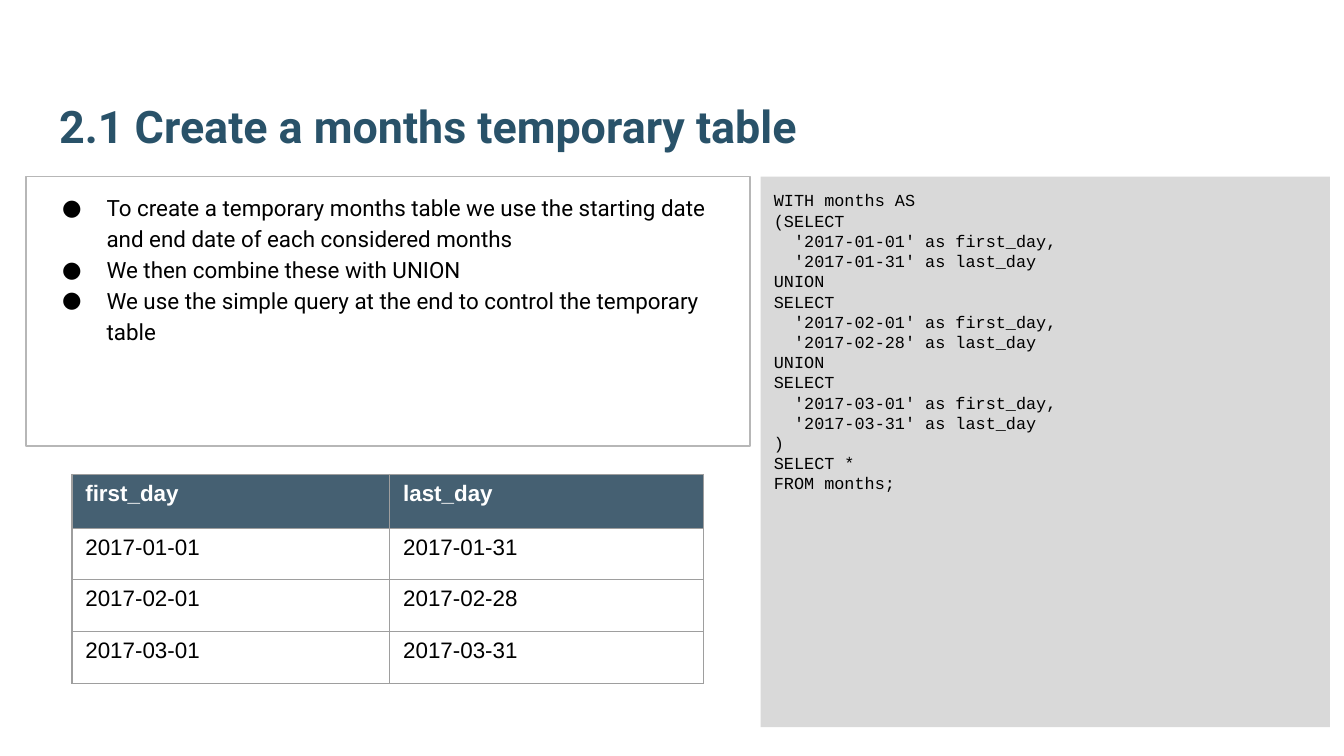
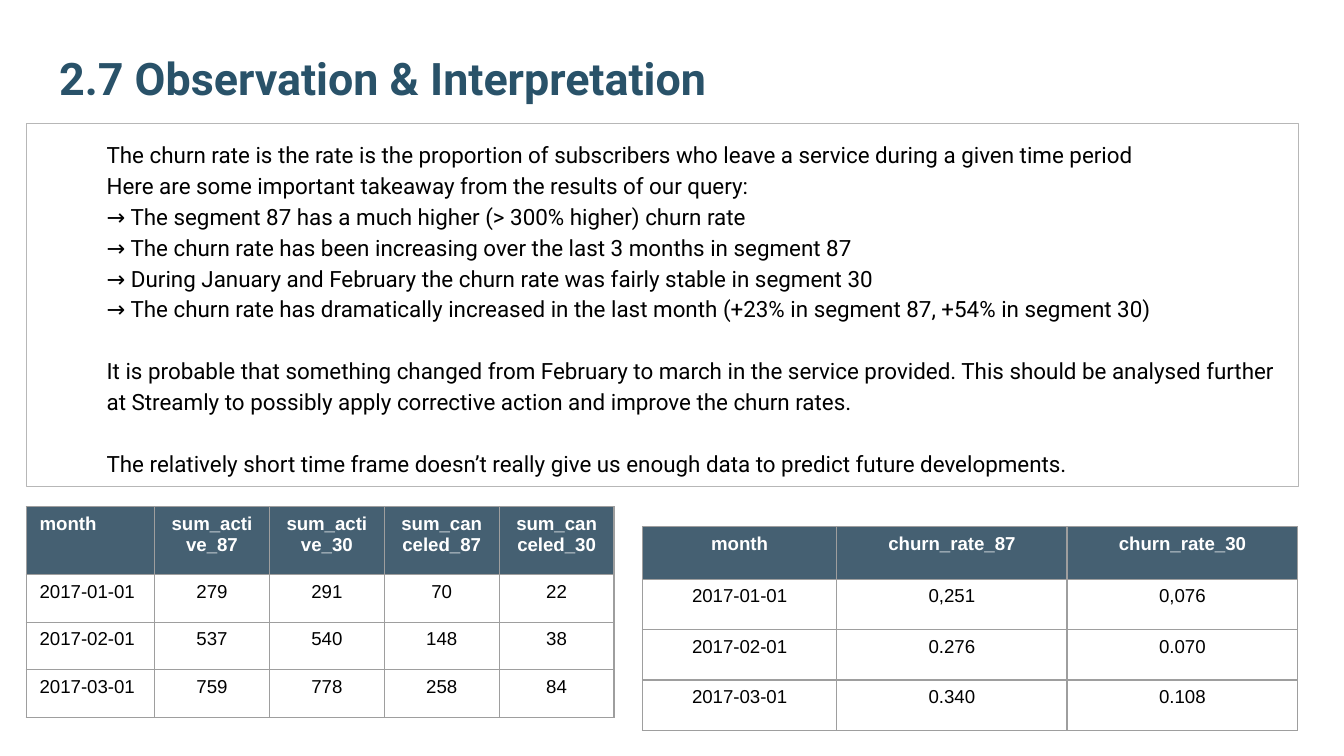
from dataclasses import dataclass
from typing import NamedTuple

from lxml import etree
from pptx import Presentation
from pptx import util as u
from pptx.dml.color import RGBColor
from pptx.enum import shapes, text
from pptx.oxml.ns import qn

EMU_PER_PX = 4572


def px(length: int) -> u.Emu:
    return u.Emu(length * EMU_PER_PX)


@dataclass(frozen=True)
class Theme:
    title_color: str = "295269"
    ink: str = "000000"
    header_ink: str = "FFFFFF"
    header_fill: str = "204056"
    header_alpha: int = 83
    code_fill: str = "D9D9D9"
    box_line: str = "B7B7B7"
    grid_line: str = "9E9E9E"
    body_font: str = "Roboto"
    code_font: str = "Courier New"
    table_font: str = "Arial"
    title_size: int = 24
    body_size: int = 12
    code_size: int = 9
    small_size: int = 10
    line_width: float = 0.75
    line_spacing: float = 1.15
    section_gap: float = 16.5


THEME = Theme()


class Box(NamedTuple):
    left: int
    top: int
    width: int
    height: int

    def emu(self) -> tuple:
        return tuple(px(side) for side in self)


@dataclass(frozen=True)
class Panel:
    box: Box
    lines: tuple
    fill: str | None = None
    font: str = THEME.body_font
    size: int = THEME.body_size
    spacing: float | None = THEME.line_spacing
    margin: int = 100
    bullet: str | None = None
    section_starts: tuple = ()


@dataclass(frozen=True)
class Grid:
    left: int
    top: int
    columns: tuple
    rows: tuple
    cells: tuple
    size: int
    alignments: str


def set_font(paragraph, name: str, size: int, color: str, bold: bool = False) -> None:
    paragraph.font.name = name
    paragraph.font.size = u.Pt(size)
    paragraph.font.bold = bold
    paragraph.font.color.rgb = RGBColor.from_string(color)


def set_insets(frame, inset: int = 20) -> None:
    frame.margin_left = frame.margin_right = px(inset)
    frame.margin_top = frame.margin_bottom = px(inset)
    frame.word_wrap = True
    frame.auto_size = text.MSO_AUTO_SIZE.NONE


def add_color(parent, color: str):
    return etree.SubElement(parent, qn("a:srgbClr"), val=color)


def set_bullet(paragraph, character: str, font: str) -> None:
    properties = paragraph._p.get_or_add_pPr()
    defaults = properties.find(qn("a:defRPr"))
    bullet_color = etree.Element(qn("a:buClr"))
    add_color(bullet_color, THEME.ink)
    defaults.addprevious(bullet_color)
    defaults.addprevious(etree.Element(qn("a:buFont"), typeface=font))
    defaults.addprevious(etree.Element(qn("a:buChar"), char=character))


def add_title_slide(presentation, title: str, box: Box):
    slide = presentation.slides.add_slide(presentation.slide_layouts[5])
    shape = slide.shapes.title
    shape.left, shape.top, shape.width, shape.height = box.emu()
    frame = shape.text_frame
    set_insets(frame)
    frame.vertical_anchor = text.MSO_ANCHOR.BOTTOM
    frame.text = title
    paragraph = frame.paragraphs[0]
    paragraph.alignment = text.PP_ALIGN.LEFT
    set_font(paragraph, THEME.body_font, THEME.title_size, THEME.title_color, True)
    return slide


def add_panel(slide, panel: Panel) -> None:
    shape = slide.shapes.add_shape(shapes.MSO_SHAPE.RECTANGLE, *panel.box.emu())
    shape.shadow.inherit = False
    if panel.fill:
        shape.fill.solid()
        shape.fill.fore_color.rgb = RGBColor.from_string(panel.fill)
        shape.line.fill.background()
    else:
        shape.fill.background()
        shape.line.color.rgb = RGBColor.from_string(THEME.box_line)
        shape.line.width = u.Pt(THEME.line_width)
    frame = shape.text_frame
    set_insets(frame)
    frame.vertical_anchor = text.MSO_ANCHOR.TOP
    frame.text = "\n".join(panel.lines)
    for index, paragraph in enumerate(frame.paragraphs):
        paragraph.alignment = text.PP_ALIGN.LEFT
        paragraph.line_spacing = panel.spacing
        if index in panel.section_starts:
            paragraph.space_before = u.Pt(THEME.section_gap)
        set_font(paragraph, panel.font, panel.size, THEME.ink)
        properties = paragraph._p.get_or_add_pPr()
        properties.set("marL", str(px(panel.margin)))
        properties.set("indent", str(px(-66 if panel.bullet else 0)))
        if panel.bullet:
            set_bullet(paragraph, panel.bullet, panel.font)


def set_borders(cell) -> None:
    properties = cell._tc.get_or_add_tcPr()
    for index, side in enumerate(("lnL", "lnR", "lnT", "lnB")):
        line = etree.Element(qn(f"a:{side}"), w=str(u.Pt(THEME.line_width)))
        add_color(etree.SubElement(line, qn("a:solidFill")), THEME.grid_line)
        properties.insert(index, line)


def fill_header(cell) -> None:
    cell.fill.solid()
    cell.fill.fore_color.rgb = RGBColor.from_string(THEME.header_fill)
    color = cell._tc.tcPr.find(".//" + qn("a:srgbClr"))
    etree.SubElement(color, qn("a:alpha"), val=str(THEME.header_alpha * 1000))


def add_grid(slide, grid: Grid) -> None:
    box = Box(grid.left, grid.top, sum(grid.columns), sum(grid.rows))
    table = slide.shapes.add_table(
        len(grid.rows), len(grid.columns), *box.emu()
    ).table
    table.first_row = table.horz_banding = False
    for column, width in zip(table.columns, grid.columns):
        column.width = px(width)
    for row, height in zip(table.rows, grid.rows):
        row.height = px(height)
    alignments = {"l": text.PP_ALIGN.LEFT, "c": text.PP_ALIGN.CENTER}
    for row_index, values in enumerate(grid.cells):
        is_header = row_index == 0
        for column_index, value in enumerate(values):
            cell = table.cell(row_index, column_index)
            cell.text = value
            if is_header:
                fill_header(cell)
            else:
                cell.fill.background()
            set_borders(cell)
            paragraph = cell.text_frame.paragraphs[0]
            paragraph.alignment = alignments[grid.alignments[column_index]]
            color = THEME.header_ink if is_header else THEME.ink
            set_font(paragraph, THEME.table_font, grid.size, color, is_header)


MONTHS_NOTES = Panel(
    Box(39, 263, 1077, 401),
    (
        "To create a temporary months table we use the starting date and end date of each considered months",
        "We then combine these with UNION",
        "We use the simple query at the end to control the temporary table",
    ),
    bullet="●",
)

MONTHS_QUERY = Panel(
    Box(1132, 263, 847, 819),
    (
        "WITH months AS",
        "(SELECT",
        "  '2017-01-01' as first_day,",
        "  '2017-01-31' as last_day",
        "UNION",
        "SELECT",
        "  '2017-02-01' as first_day,",
        "  '2017-02-28' as last_day",
        "UNION",
        "SELECT",
        "  '2017-03-01' as first_day,",
        "  '2017-03-31' as last_day",
        ")",
        "SELECT *",
        "FROM months;",
    ),
    fill=THEME.code_fill,
    font=THEME.code_font,
    size=THEME.code_size,
    spacing=None,
    margin=0,
)

MONTHS_TABLE = Grid(
    107, 706, (473, 467), (80, 77, 77, 77),
    (
        ("first_day", "last_day"),
        ("2017-01-01", "2017-01-31"),
        ("2017-02-01", "2017-02-28"),
        ("2017-03-01", "2017-03-31"),
    ),
    THEME.body_size, "ll",
)

CHURN_NOTES = Panel(
    Box(39, 184, 1893, 540),
    (
        "The churn rate is the rate is the proportion of subscribers who leave a service during a given time period",
        "Here are some important takeaway from the results of our query:",
        "→ The segment 87 has a much higher (> 300% higher) churn rate",
        "→ The churn rate has been increasing over the last 3 months in segment 87",
        "→ During January and February the churn rate was fairly stable in segment 30",
        "→ The churn rate has dramatically increased in the last month (+23% in segment 87, +54% in segment 30)",
        "It is probable that something changed from February to march in the service provided. "
        "This should be analysed further at Streamly to possibly apply corrective action and improve the churn rates.",
        "The relatively short time frame doesn’t really give us enough data to predict future developments.",
    ),
    section_starts=(6, 7),
)

CHURN_RATES = Grid(
    956, 784, (289, 343, 343), (78, 75, 75, 75),
    (
        ("month", "churn_rate_87", "churn_rate_30"),
        ("2017-01-01", "0,251", "0,076"),
        ("2017-02-01", "0.276", "0.070"),
        ("2017-03-01", "0.340", "0.108"),
    ),
    THEME.small_size, "ccc",
)

SUBSCRIBER_SUMS = Grid(
    39, 754, (191, 171, 171, 171, 171), (101, 71, 71, 71),
    (
        ("month", "sum_active_87", "sum_active_30", "sum_canceled_87", "sum_canceled_30"),
        ("2017-01-01", "279", "291", "70", "22"),
        ("2017-02-01", "537", "540", "148", "38"),
        ("2017-03-01", "759", "778", "258", "84"),
    ),
    THEME.small_size, "lcccc",
)


def main() -> None:
    presentation = Presentation()
    presentation.slide_width, presentation.slide_height = px(2000), px(1125)

    months = add_title_slide(
        presentation, "2.1 Create a months temporary table", Box(68, 64, 1864, 183)
    )
    add_panel(months, MONTHS_QUERY)
    add_panel(months, MONTHS_NOTES)
    add_grid(months, MONTHS_TABLE)

    churn = add_title_slide(
        presentation, "2.7 Observation & Interpretation", Box(68, 64, 1864, 112)
    )
    add_panel(churn, CHURN_NOTES)
    add_grid(churn, CHURN_RATES)
    add_grid(churn, SUBSCRIBER_SUMS)

    presentation.save("out.pptx")


if __name__ == "__main__":
    main()
